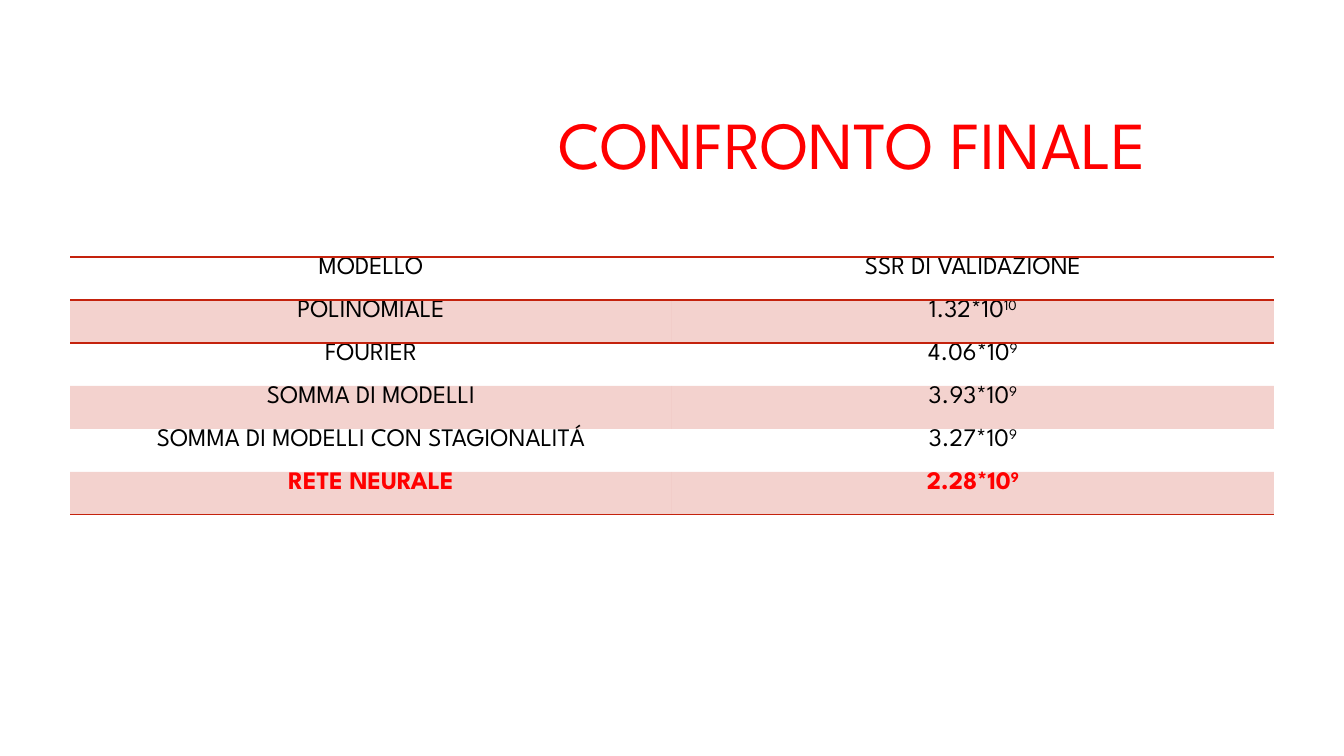
import pptx
import pptx.util
import pptx.dml.color
import pptx.enum.text
import pptx.oxml
import pptx.oxml.ns

PX = 914400 / 100.8  # EMU per px
THEME = {
    "font": "League Spartan",
    "ink": "000000", "red": "FF0000", "rule": "C4220D",
    "title": 48, "body": 18, "line": 1, "tint": 20,
}
ALIGN = pptx.enum.text.PP_ALIGN
ANCHOR = pptx.enum.text.MSO_ANCHOR


def px(n):
    return pptx.util.Emu(round(n * PX))


def write(para, text, size=THEME["body"], color=THEME["ink"], bold=False,
          align=ALIGN.CENTER, power=False):
    para.alignment = align
    run = para.add_run()
    run.text = text
    run.font.name = THEME["font"]
    run.font.size = pptx.util.Pt(size)
    run.font.bold = bold
    run.font.color.rgb = pptx.dml.color.RGBColor.from_string(color)
    if power:
        run.font._element.set("baseline", "30000")


deck = pptx.Presentation()
deck.slide_width, deck.slide_height = px(1344), px(756)
slide = deck.slides.add_slide(deck.slide_layouts[5])

# Title
title = slide.shapes.title
title.left, title.top, title.width, title.height = px(548), px(97), px(690), px(92)
frame = title.text_frame
frame.word_wrap = True
frame.auto_size = pptx.enum.text.MSO_AUTO_SIZE.NONE
frame.vertical_anchor = ANCHOR.MIDDLE
write(frame.paragraphs[0], "CONFRONTO FINALE", size=THEME["title"],
      color=THEME["red"], align=ALIGN.LEFT)

# Table rows: model, value, exponent
ROWS = [
    ("MODELLO", "SSR DI VALIDAZIONE", ""),
    ("POLINOMIALE", "1.32*10", "10"),
    ("FOURIER", "4.06*10", "9"),
    ("SOMMA DI MODELLI", "3.93*10", "9"),
    ("SOMMA DI MODELLI CON STAGIONALITÁ", "3.27*10", "9"),
    ("RETE NEURALE", "2.28*10", "9"),
]
last = len(ROWS) - 1
grid = slide.shapes.add_table(len(ROWS), 2, px(70), px(257), px(1204), px(258)).table
grid.first_row = grid.horz_banding = False
style = grid._tbl.tblPr.find(pptx.oxml.ns.qn("a:tableStyleId"))
style.text = "{2D5ABB26-0587-4C30-8999-92F81FD0307C}"  # no style, no grid

for r, (model, value, power) in enumerate(ROWS):
    grid.rows[r].height = px(43)
    look = {"color": THEME["red"], "bold": True} if r == last else {}
    for c, text in enumerate((model, value)):
        cell = grid.cell(r, c)
        cell.margin_top = cell.margin_bottom = 0
        cell.vertical_anchor = ANCHOR.TOP
        para = cell.text_frame.paragraphs[0]
        write(para, text, **look)
        if c == 1 and power:
            write(para, power, power=True, **look)

        # Tinted bands on odd rows
        props = cell._tc.get_or_add_tcPr()
        if r % 2:
            cell.fill.solid()
            cell.fill.fore_color.rgb = pptx.dml.color.RGBColor.from_string(THEME["rule"])
            tone = props.find(".//" + pptx.oxml.ns.qn("a:srgbClr"))
            tone.append(pptx.oxml.parse_xml(
                f'<a:alpha {pptx.oxml.ns.nsdecls("a")} val="{THEME["tint"] * 1000}"/>'))
        else:
            cell.fill.background()

        # Rules around the header and under the last row
        sides = {0: ("lnT", "lnB"), 1: ("lnT",), last: ("lnB",)}.get(r, ())
        for i, side in enumerate(sides):
            props.insert(i, pptx.oxml.parse_xml(
                f'<a:{side} {pptx.oxml.ns.nsdecls("a")} w="{pptx.util.Pt(THEME["line"])}">'
                f'<a:solidFill><a:srgbClr val="{THEME["rule"]}"/></a:solidFill></a:{side}>'))

deck.save("out.pptx")
